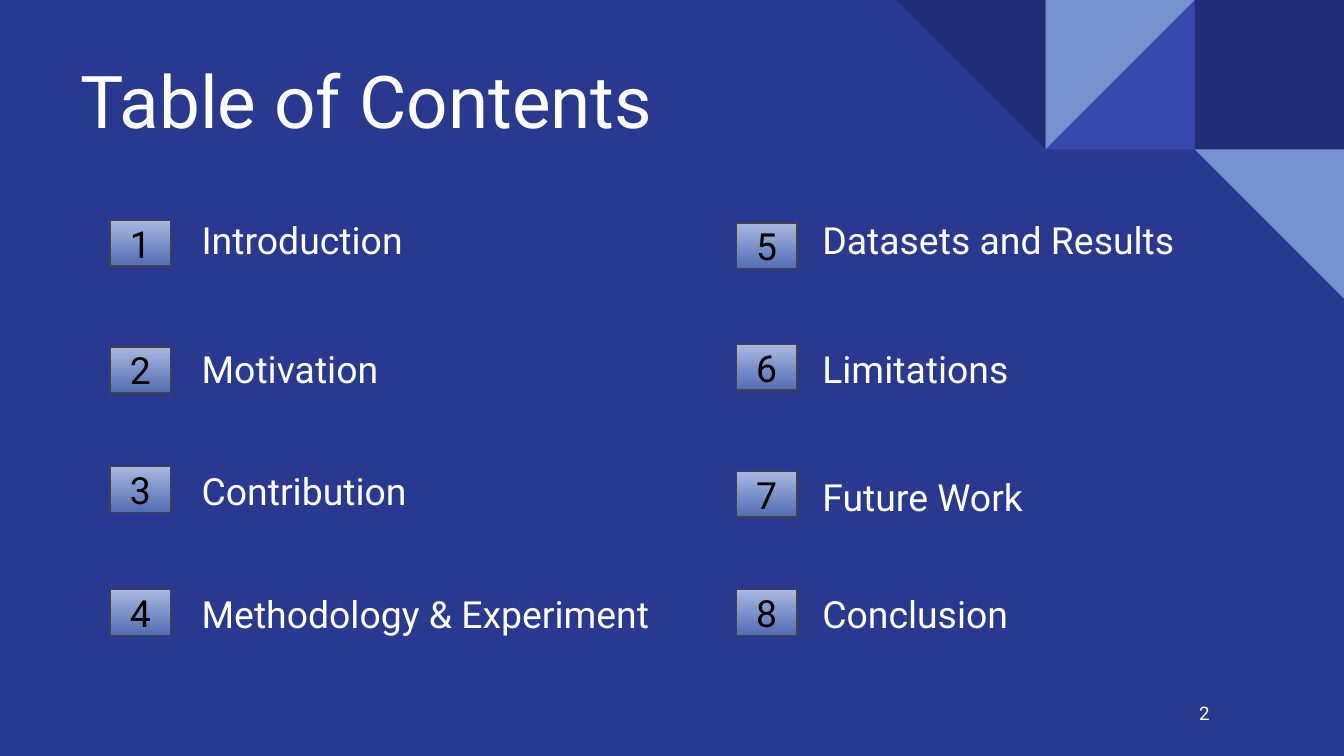
import dataclasses

import pptx
import pptx.dml.color
import pptx.enum.shapes
import pptx.enum.text
import pptx.util

EMU_PER_PX = 6350  # 144 px to the inch
PAGE_WIDTH, PAGE_HEIGHT = 1440, 810
TILE = 160
INSET = 14

SHAPE = pptx.enum.shapes.MSO_SHAPE
ALIGN = pptx.enum.text.PP_ALIGN
ANCHOR = pptx.enum.text.MSO_ANCHOR


@dataclasses.dataclass(frozen=True)
class Theme:
    font: str = "Roboto"
    background: str = "2A3990"
    navy: str = "212D74"
    indigo: str = "3949AB"
    pale: str = "7890CD"
    text: str = "FFFFFF"
    badge_text: str = "000000"
    badge_top: str = "A8B8DF"
    badge_bottom: str = "516DB4"
    badge_line: str = "434343"
    title_size: int = 39
    item_size: int = 20
    page_number_size: int = 10


THEME = Theme()

# Each column: badge left, label left, then (label, label top, badge top, label width)
COLUMNS = [
    (118, 202, [
        ("Introduction", 219, 236, 425),
        ("Motivation", 357, 372, 425),
        ("Contribution", 488, 500, 425),
        ("Methodology & Experiment", 619, 632, 556),
    ]),
    (789, 867, [
        ("Datasets and Results", 219, 239, 425),
        ("Limitations", 357, 369, 425),
        ("Future Work", 494, 505, 425),
        ("Conclusion", 619, 632, 425),
    ]),
]


def px(length):
    return pptx.util.Emu(length * EMU_PER_PX)


def box_px(*lengths):
    return [px(length) for length in lengths]


def rgb(color):
    return pptx.dml.color.RGBColor.from_string(color)


def write(shape, text, size, color=THEME.text, align=ALIGN.LEFT, anchor=ANCHOR.TOP):
    frame = shape.text_frame
    frame.word_wrap = True
    frame.auto_size = pptx.enum.text.MSO_AUTO_SIZE.NONE
    frame.vertical_anchor = anchor
    frame.margin_left = frame.margin_right = px(INSET)
    frame.margin_top = frame.margin_bottom = px(INSET)
    para = frame.paragraphs[0]
    para.text = text
    para.alignment = align
    para.font.name = THEME.font
    para.font.size = pptx.util.Pt(size)
    para.font.color.rgb = rgb(color)


def add_title(page, text):
    title = page.shapes.title
    title.left, title.top, title.width, title.height = box_px(72, 35, 1295, 132)
    write(title, text, THEME.title_size, anchor=ANCHOR.BOTTOM)


def add_label(page, text, box, size, **style):
    write(page.shapes.add_textbox(*box_px(*box)), text, size, **style)


def add_tile(page, kind, column, row, color, rotation=0):
    """Place a tile on the corner grid, with columns counted from the right edge."""
    left = PAGE_WIDTH - column * TILE
    tile = page.shapes.add_shape(kind, *box_px(left, row * TILE, TILE, TILE))
    tile.shadow.inherit = False
    tile.rotation = rotation
    tile.fill.solid()
    tile.fill.fore_color.rgb = rgb(color)
    tile.line.fill.background()


def add_corner(page):
    triangle = SHAPE.RIGHT_TRIANGLE
    add_tile(page, SHAPE.RECTANGLE, 1, 0, THEME.navy)
    add_tile(page, triangle, 2, 0, THEME.indigo, 270)
    add_tile(page, triangle, 2, 0, THEME.pale, 90)
    add_tile(page, triangle, 3, 0, THEME.navy, 180)
    add_tile(page, triangle, 1, 1, THEME.pale, 180)


def add_badge(page, number, left, top):
    badge = page.shapes.add_shape(SHAPE.RECTANGLE, *box_px(left, top, 65, 49))
    badge.shadow.inherit = False
    badge.fill.gradient()
    badge.fill.gradient_angle = 270
    for stop, position, color in zip(badge.fill.gradient_stops, (0, 1),
                                     (THEME.badge_top, THEME.badge_bottom)):
        stop.position = position
        stop.color.rgb = rgb(color)
    badge.line.color.rgb = rgb(THEME.badge_line)
    badge.line.width = pptx.util.Pt(0.75)
    write(badge, str(number), THEME.item_size, THEME.badge_text,
          ALIGN.CENTER, ANCHOR.MIDDLE)


def add_contents(page):
    number = 1
    for badge_left, label_left, items in COLUMNS:
        for label, label_top, badge_top, width in items:
            add_badge(page, number, badge_left, badge_top)
            add_label(page, label, (label_left, label_top, width, 72), THEME.item_size)
            number += 1


def main():
    deck = pptx.Presentation()
    deck.slide_width, deck.slide_height = box_px(PAGE_WIDTH, PAGE_HEIGHT)
    page = deck.slides.add_slide(deck.slide_layouts[5])
    page.background.fill.solid()
    page.background.fill.fore_color.rgb = rgb(THEME.background)

    # Corner decoration, heading and numbered entries
    add_corner(page)
    add_title(page, "Table of Contents")
    add_contents(page)

    # Page number
    add_label(page, "2", (1224, 733, 86, 62), THEME.page_number_size,
              align=ALIGN.RIGHT, anchor=ANCHOR.MIDDLE)

    deck.save("out.pptx")


if __name__ == "__main__":
    main()
